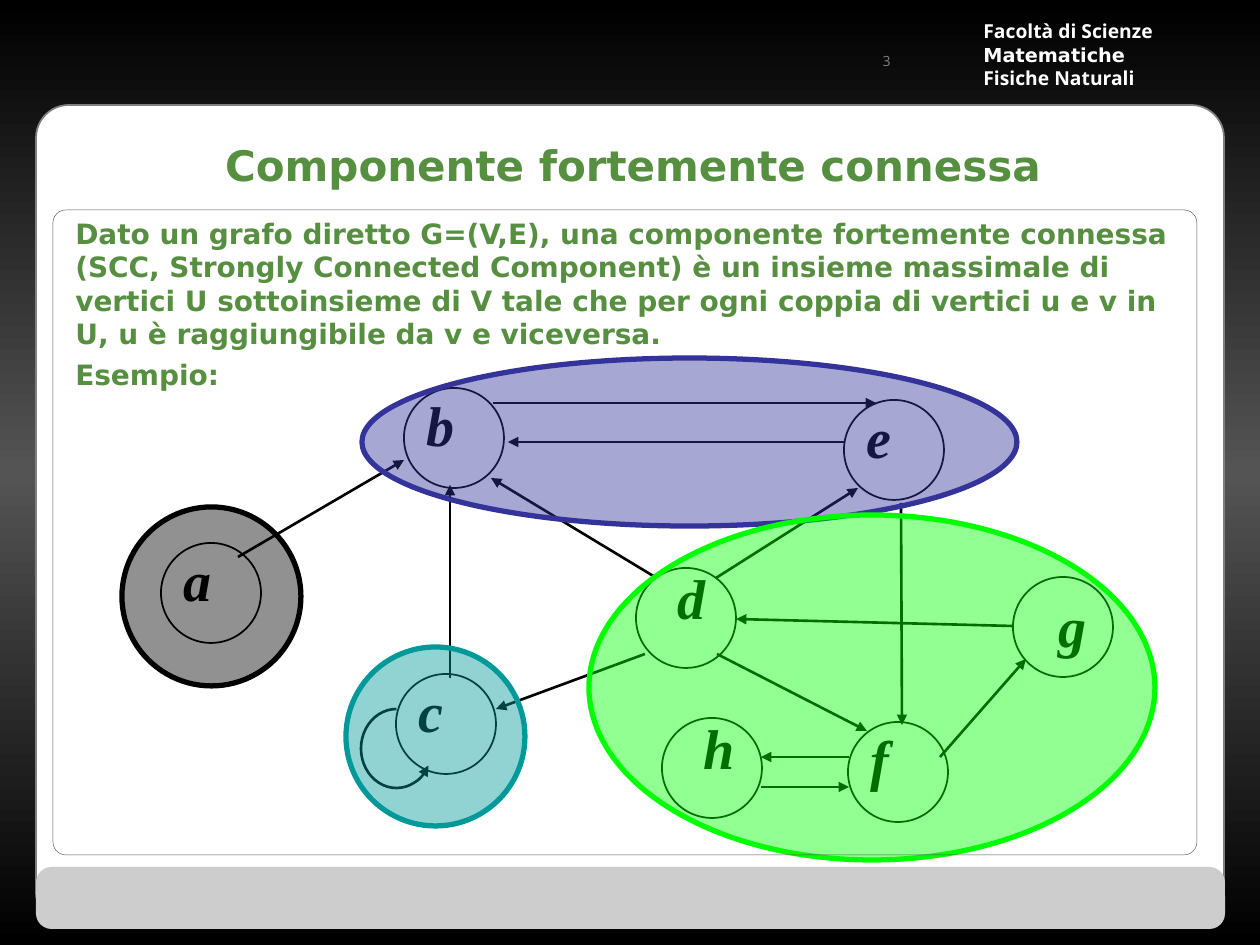
"""Build the slide about strongly connected components of a directed graph."""
from copy import deepcopy

from pptx import Presentation
from pptx.dml.color import RGBColor
from pptx.enum.shapes import MSO_CONNECTOR, MSO_SHAPE
from pptx.enum.text import MSO_ANCHOR, MSO_AUTO_SIZE, PP_ALIGN
from pptx.oxml.ns import qn
from pptx.util import Emu, Pt

STRAIGHT = MSO_CONNECTOR.STRAIGHT
ARC, OVAL, ROUNDED = MSO_SHAPE.ARC, MSO_SHAPE.OVAL, MSO_SHAPE.ROUNDED_RECTANGLE
TOP, MIDDLE = MSO_ANCHOR.TOP, MSO_ANCHOR.MIDDLE
FIT_SHAPE = MSO_AUTO_SIZE.SHAPE_TO_FIT_TEXT
LEFT, CENTER, RIGHT = PP_ALIGN.LEFT, PP_ALIGN.CENTER, PP_ALIGN.RIGHT

BLACK = RGBColor(0x00, 0x00, 0x00)
WHITE = RGBColor(0xFF, 0xFF, 0xFF)
GRAY = RGBColor(0x80, 0x80, 0x80)
DARK_GRAY = RGBColor(0x54, 0x54, 0x54)
LIGHT_GRAY = RGBColor(0xCD, 0xCD, 0xCD)
GREEN = RGBColor(0x56, 0x8F, 0x3F)
BLUE = RGBColor(0x33, 0x33, 0x99)
TEAL = RGBColor(0x00, 0x99, 0x99)
LIME = RGBColor(0x00, 0xFF, 0x00)

SCALE = 914400 / 126
NODE_SIZE = 100
SANS, OPEN, SERIF = "DejaVu Sans", "Open Sans", "Times New Roman"

TITLE = {"name": SANS, "size": Pt(24), "bold": True}
BODY = {"name": SANS, "size": Pt(16), "bold": True}
NUMBER = {"name": OPEN, "size": Pt(8)}
FACULTY = {"name": OPEN, "size": Pt(11), "bold": True}
LETTER = {"name": SERIF, "size": Pt(32), "bold": True, "italic": True}

FACULTY_LINES = ["Facoltà di Scienze", "Matematiche", "Fisiche Naturali"]
DEFINITION = [
    "Dato un grafo diretto G=(V,E), una componente fortemente connessa "
    "(SCC, Strongly Connected Component) è un insieme massimale di vertici U "
    "sottoinsieme di V tale che per ogni coppia di vertici u e v in U, "
    "u è raggiungibile da v e viceversa.",
    "Esempio:",
]
NODES = [
    ("d", 636, 568, 33, 0, 45),
    ("b", 404, 388, 14, 7, 45),
    ("f", 848, 722, 14, 7, 37),
    ("e", 844, 400, 14, 7, 43),
    ("a", 161, 543, 14, 7, 45),
    ("c", 396, 674, 14, 7, 43),
    ("g", 1013, 577, 37, 19, 45),
    ("h", 662, 718, 33, 0, 49),
]
EDGES = [
    (645, 654, 496, 709),
    (716, 578, 858, 488),
    (940, 757, 1026, 659),
    (901, 503, 902, 725),
    (717, 654, 867, 731),
    (1013, 626, 736, 619),
    (655, 577, 491, 478),
    (238, 557, 404, 460),
    (450, 678, 450, 485),
    (845, 442, 508, 442),
    (493, 403, 876, 403),
    (761, 787, 849, 787),
    (849, 757, 761, 757),
]
COMPONENTS = [
    ((122, 507, 179, 179), BLACK),
    ((362, 358, 655, 168), BLUE),
    ((346, 647, 179, 179), TEAL),
    ((589, 515, 566, 345), LIME),
]


def px(*lengths):
    return [Emu(round(length * SCALE)) for length in lengths]


class SlideBuilder:
    """Draw styled elements on the current slide, with lengths in px."""

    def __init__(self, slide):
        self.slide = slide

    def background(self, edge, middle):
        fill = self.slide.background.fill
        fill.gradient()
        fill.gradient_angle = 90
        stops = self.slide.element.xpath(".//a:gsLst")[0]
        stops.insert(1, deepcopy(stops[0]))
        for stop, position, color in zip(fill.gradient_stops, (0, 0.5, 1), (edge, middle, edge)):
            stop.position = position
            stop.color.rgb = color

    def shape(self, kind, box, fill=None, line=None, width=1, adjustments=(), opacity=None):
        shape = self.slide.shapes.add_shape(kind, *px(*box))
        shape.shadow.inherit = False
        for index, value in enumerate(adjustments):
            shape.adjustments[index] = value
        if fill is None:
            shape.fill.background()
        else:
            shape.fill.solid()
            shape.fill.fore_color.rgb = fill
        if opacity is not None:
            color = shape.element.spPr.find(qn("a:solidFill"))[0]
            color.makeelement(qn("a:alpha"))
            alpha = color.makeelement(qn("a:alpha"), {"val": str(opacity * 1000)})
            color.append(alpha)
        if line is None:
            shape.line.fill.background()
        else:
            shape.line.color.rgb = line
            shape.line.width = Pt(width)
        return shape

    def arrowhead(self, item, end):
        outline = item.line._get_or_add_ln()
        outline.append(outline.makeelement(qn(end), {"type": "triangle"}))

    def arrow(self, start_x, start_y, end_x, end_y):
        connector = self.slide.shapes.add_connector(STRAIGHT, *px(start_x, start_y, end_x, end_y))
        connector.line.color.rgb = BLACK
        connector.line.width = Pt(1.5)
        self.arrowhead(connector, "a:tailEnd")
        properties = connector.element.spPr
        properties.append(properties.makeelement(qn("a:effectLst")))

    def loop(self, box, start, end):
        angles = [start * 0.6, end * 0.6]
        arc = self.shape(ARC, box, line=BLACK, width=1.5, adjustments=angles)
        self.arrowhead(arc, "a:headEnd")

    def text(self, box, lines, font, color, align=LEFT, wrap=True, **spacing):
        frame = self.slide.shapes.add_textbox(*px(*box)).text_frame
        frame.word_wrap = wrap
        for index, line in enumerate(lines):
            paragraph = frame.add_paragraph() if index else frame.paragraphs[0]
            paragraph.alignment = align
            for name, value in spacing.items():
                setattr(paragraph, name, value)
            run = paragraph.add_run()
            run.text = line
            run.font.color.rgb = color
            for name, value in font.items():
                setattr(run.font, name, value)
        return frame

    def node(self, letter, left, top, shift_x, shift_y, width):
        self.shape(OVAL, (left, top, NODE_SIZE, NODE_SIZE), line=BLACK)
        frame = self.text((left + shift_x, top + shift_y, width, 67), [letter], LETTER, BLACK,
                          wrap=False, line_spacing=0.88)
        margins = dict(zip(("margin_left", "margin_right", "margin_top", "margin_bottom"),
                           px(9, 9, 4, 4)))
        for name, value in {**margins, "auto_size": FIT_SHAPE}.items():
            setattr(frame, name, value)


def main():
    presentation = Presentation()
    presentation.slide_width, presentation.slide_height = px(1260, 945)
    builder = SlideBuilder(presentation.slides.add_slide(presentation.slide_layouts[6]))

    builder.background(BLACK, DARK_GRAY)
    builder.shape(ROUNDED, (36, 105, 1188, 820), WHITE, GRAY, adjustments=[0.04])
    builder.shape(ROUNDED, (36, 867, 1189, 62), LIGHT_GRAY, adjustments=[0.25])
    faculty = builder.text((971, 28, 231, 53), FACULTY_LINES, FACULTY, WHITE, wrap=False)
    faculty.vertical_anchor = MIDDLE
    faculty.paragraphs[1].runs[0].font.name = SANS

    for node in NODES:
        builder.node(*node)
    for edge in EDGES:
        builder.arrow(*edge)
    builder.loop((361, 709, 71, 79), 28, 270)
    for box, color in COMPONENTS:
        builder.shape(OVAL, box, color, color, width=3, opacity=43)

    title = builder.text((44, 106, 1178, 118), ["Componente fortemente connessa"], TITLE, GREEN, CENTER)
    title.vertical_anchor = MIDDLE
    body = builder.text((63, 210, 1134, 634), DEFINITION, BODY, GREEN, space_before=Pt(4))
    body.vertical_anchor = TOP
    builder.shape(ROUNDED, (53, 210, 1144, 645), line=DARK_GRAY, width=0.25, adjustments=[0.02])
    number = builder.text((809, 29, 94, 63), ["3"], NUMBER, GRAY, RIGHT)
    number.vertical_anchor = MIDDLE

    presentation.save("out.pptx")


if __name__ == "__main__":
    main()
